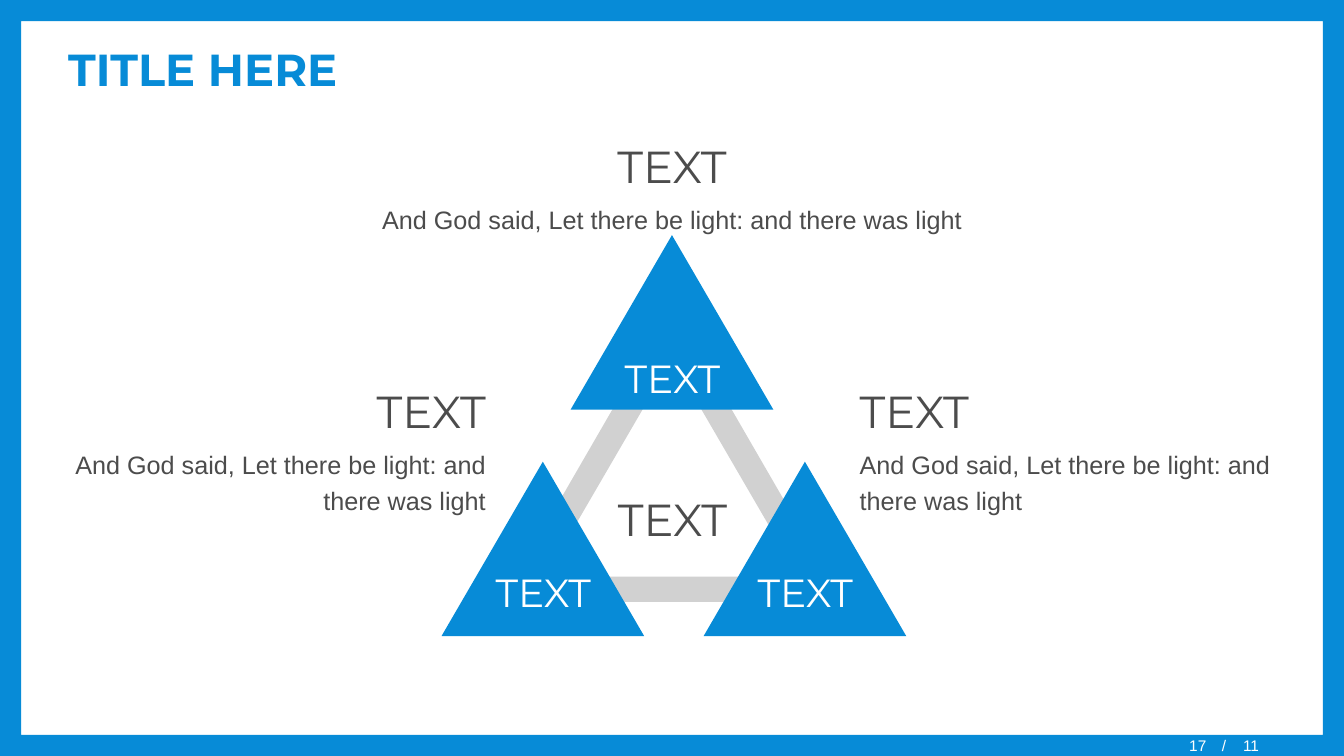
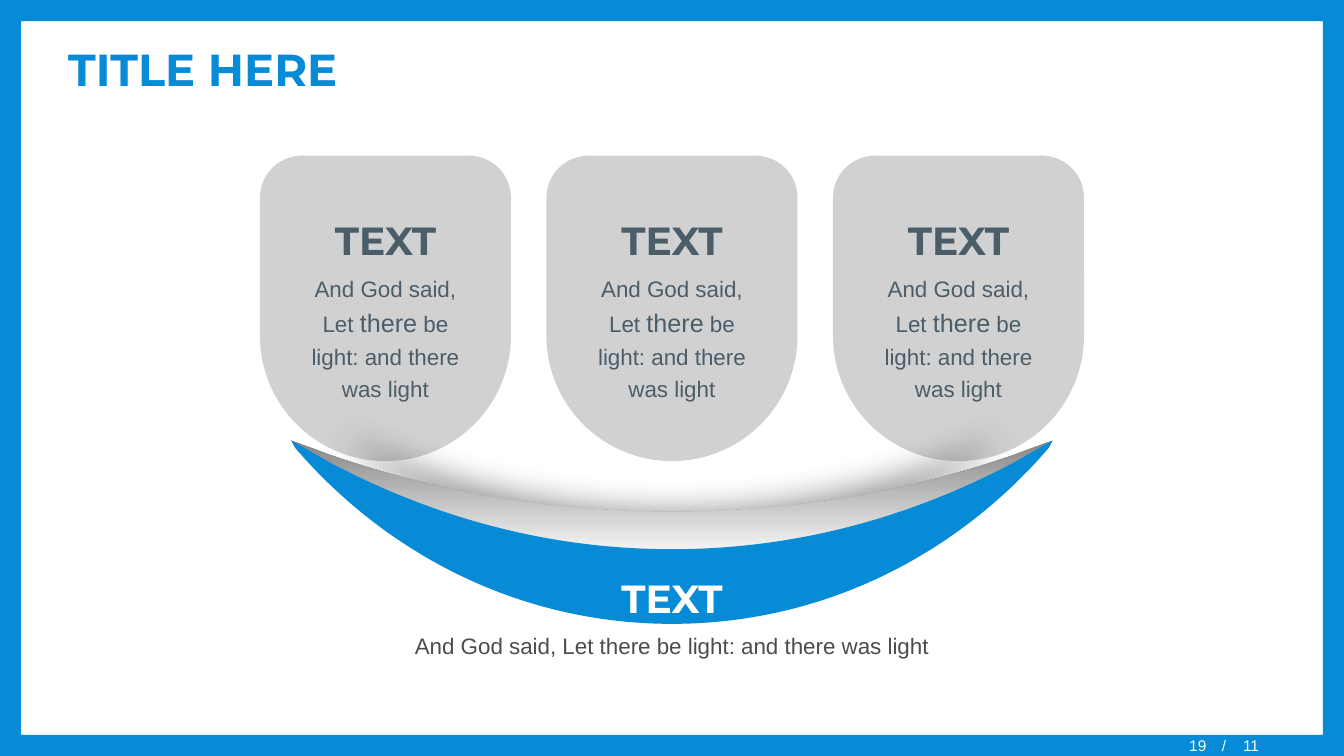
"""Build two framed slides: a triangle cycle and a bowl with three cards."""

from dataclasses import dataclass

from lxml.etree import SubElement
from pptx import Presentation
from pptx.dml.color import RGBColor
from pptx.enum.shapes import MSO_SHAPE
from pptx.enum.text import MSO_ANCHOR, PP_ALIGN
from pptx.oxml.ns import qn
from pptx.shapes.autoshape import Shape
from pptx.slide import Slide
from pptx.text.text import TextFrame
from pptx.util import Inches, Pt

WIDE, HIGH = Inches(13.333), Inches(7.5)
Point = tuple[float, float]


@dataclass(frozen=True)
class Theme:
    """Colours, fonts and type sizes."""
    blue: str = "078BD7"
    gray: str = "D1D1D1"
    dark: str = "858585"
    ink: str = "4C4C4C"
    slate: str = "4A5D69"
    white: str = "FFFFFF"
    black: str = "000000"
    head: str = "Montserrat"
    body: str = "Arial"
    huge: int = 32
    large: int = 28
    mid: int = 18
    small: int = 16
    tiny: int = 11


THEME = Theme()


@dataclass(frozen=True)
class Run:
    """A piece of text in one style."""
    text: str
    size: int
    color: str
    font: str = THEME.body
    bold: bool = False


@dataclass(frozen=True)
class Area:
    """A box in percent of the slide's width and height."""
    left: float
    top: float
    width: float
    height: float

    def units(self) -> tuple[int, int, int, int]:
        """Return the box in drawing units."""
        return (*spot(self.left, self.top), *spot(self.width, self.height))


@dataclass(frozen=True)
class Peak:
    """A triangle and the top of its label."""
    center: float
    top: float
    label: float


@dataclass(frozen=True)
class Note:
    """A heading with body text in a box."""
    area: Area
    align: PP_ALIGN


@dataclass(frozen=True)
class Bowl:
    """The depths of a crescent's outer and inner edge."""
    outer: float
    inner: float


Lines = list[list[Run]]
VERSE = "And God said, Let there be light: and there was light"
WORD = "TEXT"
PEAKS = (Peak(50, 31.1, 44.93), Peak(40.39, 61.07, 73.33), Peak(59.89, 61.07, 73.33))
NOTES = (
    Note(Area(4.33, 48.67, 32.55, 20.4), PP_ALIGN.RIGHT),
    Note(Area(63.23, 48.67, 32.5, 20.4), PP_ALIGN.LEFT),
    Note(Area(26.55, 16.27, 46.9, 15.6), PP_ALIGN.CENTER),
)
OUTER = ((0.99, 0.04), (0.75, 0.62), (0.4, 1), (0, 1))
INNER = ((0.9, 0.2), (0.63, 0.7), (0.33, 1), (0, 1))
BENDS = (1, 4, 9, 12)
SHADE, BASIN = Bowl(15.87, 9.47), Bowl(24.27, 14.4)
RIM, REACH = 58.25, 28.33


def spot(x: float, y: float) -> tuple[int, int]:
    """Turn percent of the slide into drawing units."""
    return round(WIDE * x / 100), round(HIGH * y / 100)


def paint(shape: Shape, color: str) -> Shape:
    """Give a shape a flat fill without line or shadow."""
    shape.shadow.inherit = False
    shape.fill.solid()
    shape.fill.fore_color.rgb = RGBColor.from_string(color)
    shape.line.fill.background()
    return shape


def write(frame: TextFrame, lines: Lines, align: PP_ALIGN, loose: bool = True) -> None:
    """Write styled lines into a text frame."""
    for index, runs in enumerate(lines):
        para = frame.add_paragraph() if index else frame.paragraphs[0]
        para.text = runs[0].text
        for extra in runs[1:]:
            para.add_run().text = extra.text
        para.alignment = align
        if loose:
            para.line_spacing = 1.2
            para.space_before = Pt(2 if index else 0)
            para.space_after = Pt(2)
        for piece, run in zip(para.runs, runs):
            font = piece.font
            font.size, font.name, font.bold = Pt(run.size), run.font, run.bold
            font.color.rgb = RGBColor.from_string(run.color)


def add_text(slide: Slide, area: Area, lines: Lines, align: PP_ALIGN = PP_ALIGN.CENTER,
             loose: bool = True) -> TextFrame:
    """Add a text box; tight boxes are centred in height."""
    frame = slide.shapes.add_textbox(*area.units()).text_frame
    frame.word_wrap = True
    frame.vertical_anchor = MSO_ANCHOR.TOP if loose else MSO_ANCHOR.MIDDLE
    write(frame, lines, align, loose)
    return frame


def add_path(slide: Slide, loops: list[list[Point]], color: str) -> Shape:
    """Draw closed loops as one outline."""
    first, *others = [[spot(*point) for point in loop] for loop in loops]
    pen = slide.shapes.build_freeform(*first[0])
    pen.add_line_segments(first[1:], close=True)
    for loop in others:
        pen.move_to(*loop[0])
        pen.add_line_segments(loop[1:], close=True)
    return paint(pen.convert_to_shape(), color)


def add_base(deck: Presentation, page: str) -> Slide:
    """Add a slide with frame, title and page count."""
    slide = deck.slides.add_slide(deck.slide_layouts[6])
    border = paint(slide.shapes.add_shape(MSO_SHAPE.FRAME, 0, 0, WIDE, HIGH), THEME.blue)
    border.adjustments[0] = 0.028
    title = Run("TITLE HERE", THEME.huge, THEME.blue, THEME.head, True)
    add_text(slide, Area(4.33, 3.83, 91.33, 10.53), [[title]], PP_ALIGN.LEFT, False)
    total = add_text(slide, Area(90.18, 97.33, 9.82, 2.4),
                     [[Run("/\t11", THEME.tiny, THEME.white)]], PP_ALIGN.LEFT, False)
    stops = SubElement(total.paragraphs[0]._p.get_or_add_pPr(), qn("a:tabLst"))
    SubElement(stops, qn("a:tab"), pos=str(Inches(0.21)), algn="l")
    add_text(slide, Area(71.1, 97.33, 19.4, 2.4),
             [[Run(page, THEME.tiny, THEME.white)]], PP_ALIGN.RIGHT, False)
    return slide


def add_cycle(slide: Slide) -> None:
    """Draw the ring, its three peaks and the notes."""
    ring = [[(50, top), (50 + half, base), (50 - half, base)]
            for top, base, half in ((47.47, 76.27, 9.42), (40.53, 79.6, 12.71))]
    add_path(slide, ring, THEME.gray)
    for peak in PEAKS:
        area = Area(peak.center - 7.54, peak.top, 15.08, 23.07)
        paint(slide.shapes.add_shape(MSO_SHAPE.ISOSCELES_TRIANGLE, *area.units()), THEME.blue)
    label = Run(WORD, THEME.large, THEME.white, THEME.head)
    for peak in PEAKS:
        add_text(slide, Area(peak.center - 5.07, peak.label, 10.2, 8.93), [[label]])
    head = Run(WORD, THEME.huge, THEME.ink, THEME.head)
    add_text(slide, Area(44.33, 62.93, 11.4, 10), [[head]])
    for note in NOTES:
        add_text(slide, note.area, [[head], [Run(VERSE, THEME.mid, THEME.ink)]], note.align)


def add_card(slide: Slide, left: float) -> None:
    """Draw one rounded card with its text."""
    area = Area(left, 20.6, 18.68, 40.4)
    card = paint(slide.shapes.add_shape(MSO_SHAPE.ROUND_2_SAME_RECTANGLE, *area.units()),
                 THEME.gray)
    card.adjustments[0], card.adjustments[1] = 0.167, 0.5
    frame = card.text_frame
    frame.word_wrap = True
    frame.vertical_anchor = MSO_ANCHOR.TOP
    frame.margin_top = Inches(0.39)
    before, after = VERSE.split("there", 1)
    write(frame, [
        [Run(WORD, THEME.large, THEME.slate, THEME.head, True)],
        [Run(before, THEME.small, THEME.slate), Run("there", THEME.mid, THEME.slate),
         Run(after, THEME.small, THEME.slate)],
    ], PP_ALIGN.CENTER)


def trace(curve: tuple[Point, ...], depth: float) -> list[Point]:
    """List an edge's nodes and handles from the right tip to the left."""
    half = [(1, 0), *curve]
    whole = half + [(-x, y) for x, y in half[-2::-1]]
    return [(50 + REACH * x, RIM + depth * y) for x, y in whole]


def add_bowl(slide: Slide, bowl: Bowl) -> Shape:
    """Draw a crescent between two curved edges."""
    lower, upper = trace(OUTER, bowl.outer), trace(INNER, bowl.inner)
    shape = add_path(slide, [lower + upper[-2:0:-1]], THEME.blue)
    sides = list(shape._element.iter(qn("a:lnTo")))
    for start in BENDS:
        first, *others = sides[start:start + 3]
        first.tag = qn("a:cubicBezTo")
        for side in others:
            first.append(side[0])
            side.getparent().remove(side)
    return shape


def add_shade(slide: Slide) -> None:
    """Draw the shaded crescent with its soft shadow."""
    shape = add_bowl(slide, SHADE)
    shape.fill.gradient()
    shape.fill.gradient_angle = 270
    for stop, place, color in zip(shape.fill.gradient_stops, (0, 1), (THEME.dark, THEME.white)):
        stop.position = place
        stop.color.rgb = RGBColor.from_string(color)
    glow = SubElement(shape._element.spPr.find(qn("a:effectLst")), qn("a:outerShdw"),
                      blurRad=str(Pt(24)), dist="0", dir="0", sx="85000", algn="ctr",
                      rotWithShape="0")
    tint = SubElement(glow, qn("a:srgbClr"), val=THEME.black)
    SubElement(tint, qn("a:alpha"), val="44000")


def add_feast(slide: Slide) -> None:
    """Draw the three cards above the bowl."""
    for column in range(3):
        add_card(slide, 19.34 + 21.32 * column)
    add_shade(slide)
    add_bowl(slide, BASIN)
    add_text(slide, Area(27.5, 74, 45, 14), [
        [Run(WORD, THEME.large, THEME.white, THEME.head, True)],
        [Run(VERSE, THEME.small, THEME.ink)],
    ])


def main() -> None:
    """Build and save the deck."""
    deck = Presentation()
    deck.slide_width, deck.slide_height = WIDE, HIGH
    add_cycle(add_base(deck, "17"))
    add_feast(add_base(deck, "19"))
    deck.save("out.pptx")


if __name__ == "__main__":
    main()
